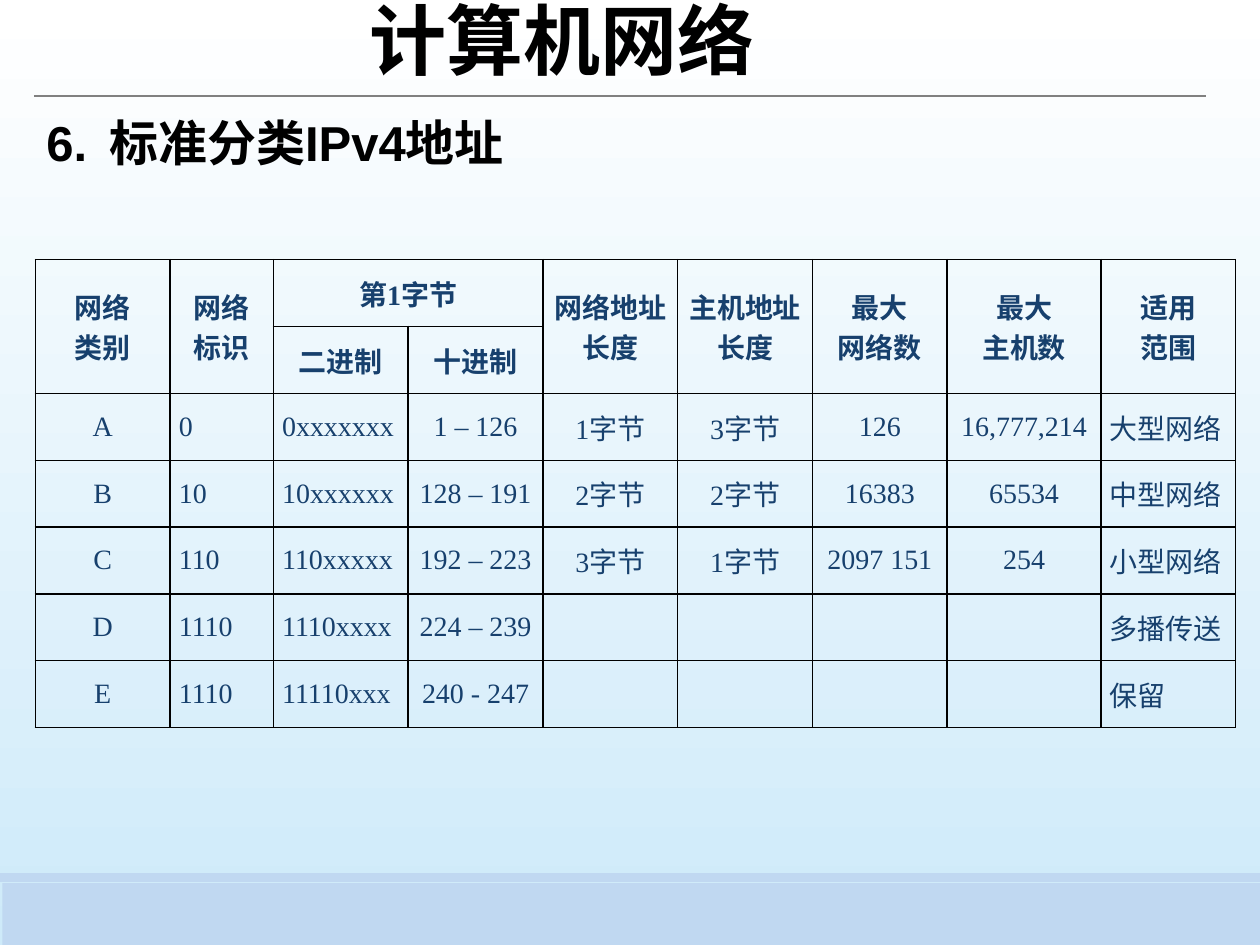
"""Build the slide on standard IPv4 address classes."""
from lxml import etree
from pptx import Presentation
from pptx.dml.color import RGBColor
from pptx.enum.shapes import MSO_CONNECTOR, MSO_SHAPE
from pptx.enum.text import MSO_ANCHOR, PP_ALIGN
from pptx.oxml.ns import qn
from pptx.util import Inches, Pt

CENTER, JUSTIFY, LEFT = PP_ALIGN.CENTER, PP_ALIGN.JUSTIFY, PP_ALIGN.LEFT
MIDDLE = MSO_ANCHOR.MIDDLE
RECTANGLE, STRAIGHT = MSO_SHAPE.RECTANGLE, MSO_CONNECTOR.STRAIGHT

COLORS = {
    "top": "FFFFFF", "bottom": "CEEAF9", "band": "C0D8F1", "rule": "808080",
    "ink": "000000", "outline": "FFFFFF", "table": "17406D",
}
CJK_FONT = "Noto Sans CJK SC"
TITLE = "计算机网络"
HEADING = "6.\t标准分类IPv4地址"
BANDS = [(0.02, 7.01, 10, 0.5), (0, 6.93, 10, 0.07)]

HEADER_ROWS = 2
ROWS = [
    ["网络\n类别", "网络\n标识", "第1字节", "", "网络地址\n长度", "主机地址\n长度",
     "最大\n网络数", "最大\n主机数", "适用\n范围"],
    ["", "", "二进制", "十进制", "", "", "", "", ""],
    ["A", "0", "0xxxxxxx", "1 – 126", "1字节", "3字节", "126", "16,777,214", "大型网络"],
    ["B", "10", "10xxxxxx", "128 – 191", "2字节", "2字节", "16383", "65534", "中型网络"],
    ["C", "110", "110xxxxx", "192 – 223", "3字节", "1字节", "2097 151", "254", "小型网络"],
    ["D", "1110", "1110xxxx", "224 – 239", "", "", "", "", "多播传送"],
    ["E", "1110", "11110xxx", "240 - 247", "", "", "", "", "保留"],
]
COLUMN_WIDTHS = [1.07, 0.82, 1.07, 1.07, 1.07, 1.07, 1.07, 1.22, 1.07]
ROW_HEIGHT = 0.53
FIRST_BYTE_COLUMNS = (2, 3)
JUSTIFIED_COLUMNS = (1, 2, 8)


def rgb(name):
    return RGBColor.from_string(COLORS[name])


def add_line_fill(line, color):
    fill = etree.SubElement(line, qn("a:solidFill"))
    etree.SubElement(fill, qn("a:srgbClr"), val=COLORS[color])


def write_text(frame, text, size, font, color, bold=False, align=LEFT, outline=None):
    for index, line in enumerate(text.split("\n")):
        paragraph = frame.add_paragraph() if index else frame.paragraphs[0]
        paragraph.alignment = align
        run = paragraph.add_run()
        run.text = line
        run.font.size, run.font.bold, run.font.name = Pt(size), bold, font
        run.font.color.rgb = rgb(color)
        properties = run.font._element if hasattr(run.font, "_element") else run._r.get_or_add_rPr()
        properties.find(qn("a:latin")).addnext(
            properties.makeelement(qn("a:ea"), {"typeface": CJK_FONT}))
        if outline:
            line_element = properties.makeelement(qn("a:ln"), {"w": str(Pt(0.75))})
            add_line_fill(line_element, outline)
            properties.insert(0, line_element)


def add_text_box(slide, place, text, wrap=True, **text_format):
    frame = slide.shapes.add_textbox(*map(Inches, place)).text_frame
    frame.word_wrap = wrap
    write_text(frame, text, **text_format)
    return frame.paragraphs[0]


def add_background(slide):
    fill = slide.background.fill
    fill.gradient()
    fill.gradient_angle = 270
    for stop, position, color in zip(fill.gradient_stops, (0, 1), ("top", "bottom")):
        stop.position, stop.color.rgb = position, rgb(color)
    for place in BANDS:
        band = slide.shapes.add_shape(RECTANGLE, *map(Inches, place))
        band.shadow.inherit = False
        band.fill.solid()
        band.fill.fore_color.rgb = rgb("band")
        band.line.fill.background()
    rule = slide.shapes.add_connector(STRAIGHT, *map(Inches, (0.27, 0.76, 9.57, 0.76)))
    rule.line.color.rgb, rule.line.width = rgb("rule"), Pt(1.25)
    etree.SubElement(rule._element.spPr, qn("a:effectLst"))


def format_cell(cell):
    cell.fill.background()
    cell.vertical_anchor = MIDDLE
    cell.margin_left = cell.margin_right = Inches(0.07)
    cell.margin_top = cell.margin_bottom = 0
    properties = cell._tc.get_or_add_tcPr()
    for index, side in enumerate(("lnL", "lnR", "lnT", "lnB")):
        border = properties.makeelement(qn(f"a:{side}"), {"w": str(Pt(1))})
        add_line_fill(border, "ink")
        properties.insert(index, border)


def add_address_table(slide):
    table = slide.shapes.add_table(
        len(ROWS), len(COLUMN_WIDTHS), Inches(0.28), Inches(2.06),
        Inches(sum(COLUMN_WIDTHS)), Inches(ROW_HEIGHT * len(ROWS))).table
    table.first_row = table.horz_banding = False
    for column, width in zip(table.columns, COLUMN_WIDTHS):
        column.width = Inches(width)
    for row_index, row in enumerate(ROWS):
        table.rows[row_index].height = Inches(ROW_HEIGHT)
        header = row_index < HEADER_ROWS
        for column_index, text in enumerate(row):
            cell = table.cell(row_index, column_index)
            format_cell(cell)
            justified = not header and column_index in JUSTIFIED_COLUMNS
            if text:
                write_text(cell.text_frame, text, size=16, font="Times New Roman",
                           color="table", bold=header,
                           align=JUSTIFY if justified else CENTER)
    first, last = FIRST_BYTE_COLUMNS
    table.cell(0, first).merge(table.cell(0, last))
    for column_index in range(len(COLUMN_WIDTHS)):
        if column_index not in FIRST_BYTE_COLUMNS:
            table.cell(0, column_index).merge(table.cell(1, column_index))


def main():
    presentation = Presentation()
    presentation.slide_width, presentation.slide_height = Inches(10), Inches(7.5)
    slide = presentation.slides.add_slide(presentation.slide_layouts[6])
    add_background(slide)
    add_text_box(slide, (2.81, -0.11, 3.3, 0.84), TITLE, wrap=False, size=44,
                 font=CJK_FONT, color="ink", bold=True, align=CENTER, outline="outline")
    heading = add_text_box(slide, (0.27, 0.84, 8.98, 0.57), HEADING, size=28,
                           font="Arial", color="ink", bold=True)
    heading.space_after = Pt(6)
    indent = Inches(0.5)
    properties = heading._p.get_or_add_pPr()
    properties.set("marL", str(indent))
    properties.set("indent", str(-indent))
    add_address_table(slide)
    presentation.save("out.pptx")


if __name__ == "__main__":
    main()
